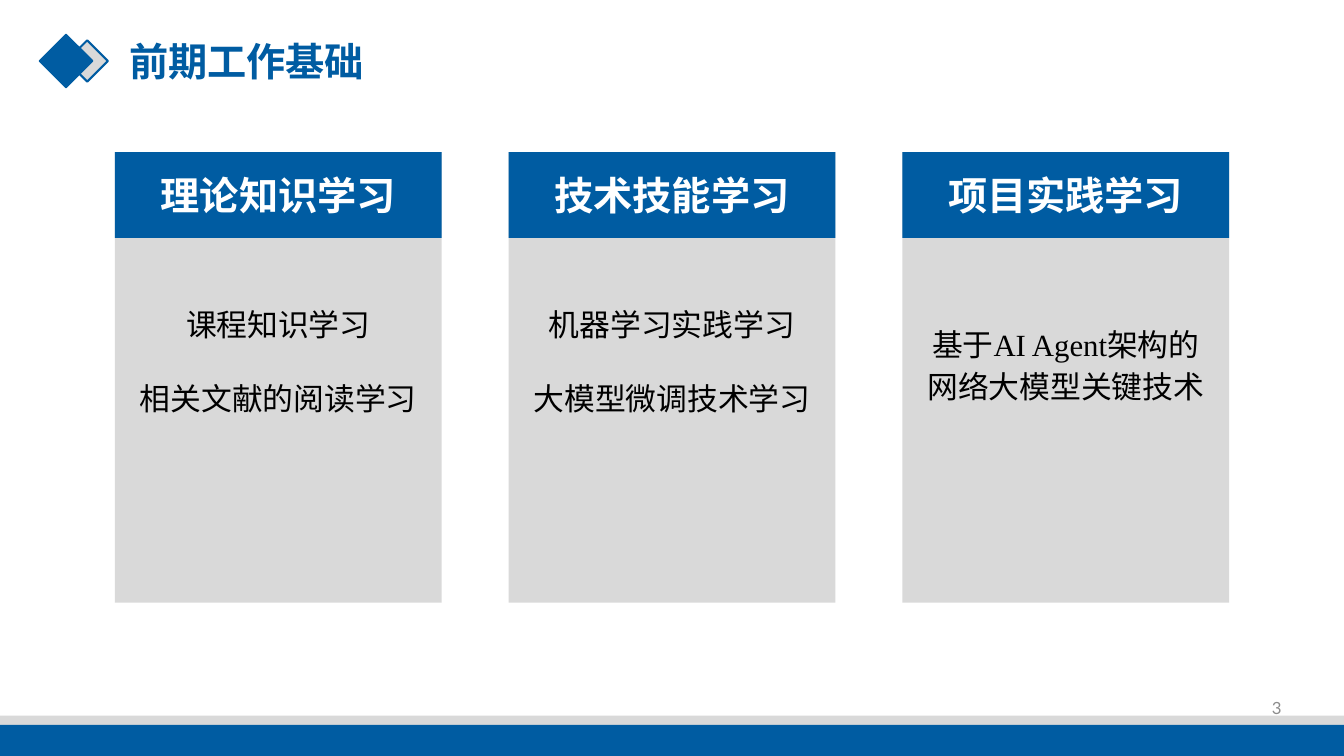
"""Builds the slide on earlier groundwork: three columns of study topics."""
from lxml import etree
from pptx import Presentation
from pptx.dml.color import RGBColor
from pptx.enum import shapes, text
from pptx.oxml import ns
from pptx.util import Inches, Pt

COLORS = {"blue": "005CA2", "grey": "D9D9D9", "black": "000000",
          "white": "FFFFFF", "number": "8C8C8C"}
CJK = "Noto Sans CJK SC"


def write(box, lines, size, color, font=CJK, east_asian=CJK, bold=False,
          align=text.PP_ALIGN.CENTER, spacing=None, gap=0, bottom=0.05):
    frame = box.text_frame
    frame.word_wrap = True
    frame.auto_size = text.MSO_AUTO_SIZE.NONE
    frame.vertical_anchor = text.MSO_ANCHOR.MIDDLE
    frame.margin_bottom = Inches(bottom)
    for i, line in enumerate(lines):
        paragraph = frame.add_paragraph() if i else frame.paragraphs[0]
        paragraph.alignment = align
        paragraph.line_spacing = spacing
        paragraph.space_before = Pt(gap if i else 0)
        run = paragraph.add_run()
        run.text = line
        run.font.size = Pt(size)
        run.font.bold = bold
        run.font.name = font
        run.font.color.rgb = RGBColor.from_string(COLORS[color])
        etree.SubElement(run.font._element, ns.qn("a:ea"), typeface=east_asian)


def draw(kind, left, top, width, height, fill, line_width=0):
    shape = slide.shapes.add_shape(kind, Inches(left), Inches(top),
                                   Inches(width), Inches(height))
    shape.shadow.inherit = False
    shape.fill.solid()
    shape.fill.fore_color.rgb = RGBColor.from_string(COLORS[fill])
    if line_width:
        shape.line.color.rgb = RGBColor.from_string(COLORS["blue"])
        shape.line.width = Pt(line_width)
    else:
        shape.line.fill.background()
    return shape


RECT = shapes.MSO_SHAPE.RECTANGLE
DIAMOND = shapes.MSO_SHAPE.DIAMOND

deck = Presentation()
deck.slide_width, deck.slide_height = Inches(13.33), Inches(7.5)
slide = deck.slides.add_slide(deck.slide_layouts[5])

page_number = slide.shapes.add_textbox(Inches(9.81), Inches(6.82), Inches(3), Inches(0.4))
write(page_number, ["3"], 12, "number", font="Lato", align=text.PP_ALIGN.RIGHT)

draw(RECT, 0, 7.1, 13.33, 0.4, "grey")
draw(RECT, 0, 7.19, 13.33, 0.31, "blue")
draw(DIAMOND, 0.66, 0.4, 0.41, 0.41, "grey", 1.5)
draw(DIAMOND, 0.39, 0.34, 0.53, 0.53, "blue", 1)

title = slide.shapes.title
title.left, title.top = Inches(1.18), Inches(0.39)
title.width, title.height = Inches(6.22), Inches(0.48)
write(title, ["前期工作基础"], 28, "blue", font="Noto Sans CJK JP",
      east_asian="Noto Sans CJK JP", bold=True, align=text.PP_ALIGN.LEFT, spacing=0.9)

columns = [
    ("理论知识学习", ["课程知识学习", "相关文献的阅读学习"], CJK, 23, 0.42),
    ("技术技能学习", ["机器学习实践学习", "大模型微调技术学习"], CJK, 23, 0.42),
    ("项目实践学习", ["基于AI Agent架构的", "网络大模型关键技术"], "Times New Roman", 0, 0.34),
]
for i, (heading, topics, font, gap, bottom) in enumerate(columns):
    left = 1.14 + i * 3.905
    panel = draw(RECT, left, 1.51, 3.24, 4.47, "grey")
    write(panel, topics, 22, "black", font=font, spacing=Pt(30), gap=gap, bottom=bottom)
    header = draw(RECT, left, 1.51, 3.24, 0.85, "blue")
    write(header, [heading], 28, "white", bold=True)

deck.save("out.pptx")
